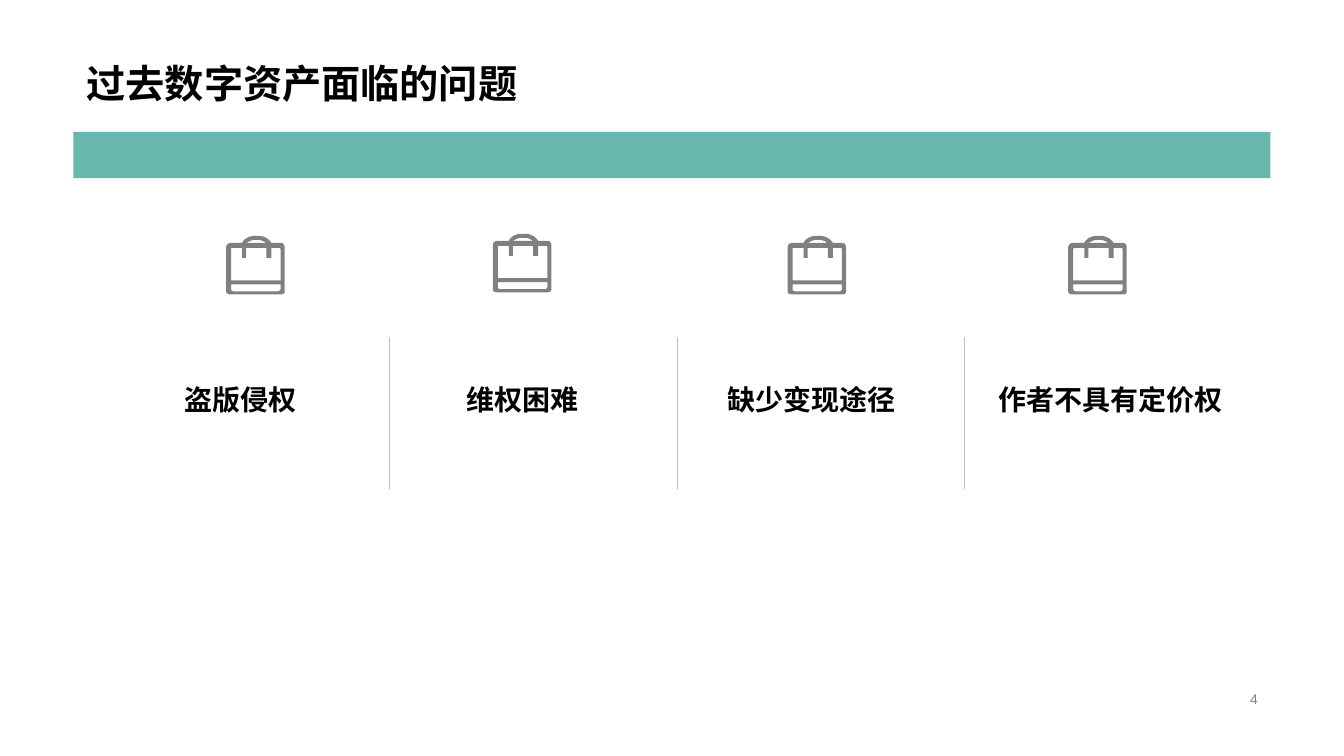
from typing import NamedTuple

from lxml import etree
from pptx import Presentation
from pptx.dml.color import RGBColor
from pptx.enum.shapes import MSO_CONNECTOR, MSO_SHAPE
from pptx.enum.text import MSO_ANCHOR, MSO_AUTO_SIZE, PP_ALIGN
from pptx.oxml.ns import qn
from pptx.util import Pt

LEFT, CENTER, RIGHT = PP_ALIGN.LEFT, PP_ALIGN.CENTER, PP_ALIGN.RIGHT
MIDDLE, BOTTOM = MSO_ANCHOR.MIDDLE, MSO_ANCHOR.BOTTOM
RECT, LINE = MSO_SHAPE.RECTANGLE, MSO_CONNECTOR.STRAIGHT
FIXED = MSO_AUTO_SIZE.NONE

FONT = "Arial"
COLORS = {"text": "000000", "band": "44A79D", "icon": "808080", "rule": "BFBFBF"}
TITLE_ONLY = 5


class Issue(NamedTuple):
    label: str
    left: float
    bag_x: float
    bag_y: float


ISSUES = [
    Issue("盗版侵权", 78.5, 161.5, 168.5),
    Issue("维权困难", 280, 352, 167),
    Issue("缺少变现途径", 486, 562.5, 168.5),
    Issue("作者不具有定价权", 700, 763, 168.5),
]
RULE_X, RULE_STEP = 278, 205.5

# Bag outlines: two numbers are a point, six are a cubic curve.
BAG = [
    [(38.9, 5), (32.4, 5), (31, 2.9, 28.1, 0, 23, 0), (20.2, 0),
     (15.8, 0, 12.2, 2.9, 11.5, 5), (3.6, 5), (1.4, 5, 0, 6.5, 0, 8.6),
     (0, 39.6), (0, 41, 1.4, 41.8, 3.6, 41.8), (38.9, 41.8),
     (41, 41.8, 41.8, 41, 41.8, 39.6), (41.8, 8.6),
     (41.8, 6.5, 41, 5, 38.9, 5)],
    [(20.2, 2.9), (23, 2.9), (25.2, 2.9, 28.1, 4.3, 28.1, 5), (14.4, 5),
     (15.8, 4.3, 18, 2.9, 20.2, 2.9)],
    [(38.9, 38.2), (38.9, 38.9, 37.4, 39.6, 37.4, 39.6), (5.8, 39.6),
     (4.3, 39.6, 3.6, 38.9, 3.6, 38.2), (3.6, 34.6), (38.9, 34.6)],
    [(38.9, 31.7), (3.6, 31.7), (3.6, 9.4), (3.6, 8.6, 4.3, 8.6, 5.8, 8.6),
     (11.5, 8.6), (11.5, 15.8), (14.4, 15.8), (14.4, 8.6), (28.8, 8.6),
     (28.8, 15.8), (32.4, 15.8), (32.4, 8.6), (37.4, 8.6),
     (37.4, 8.6, 38.9, 8.6, 38.9, 9.4)],
]
CURVE_STEPS = 8


def color(name: str) -> RGBColor:
    return RGBColor.from_string(COLORS[name])


def place(shape, left: float, top: float, width: float, height: float) -> None:
    shape.left, shape.top = Pt(left), Pt(top)
    shape.width, shape.height = Pt(width), Pt(height)


def write(shape, text: str, size: float, tone: str, align, bold: bool = False):
    shape.text_frame.text = text
    para = shape.text_frame.paragraphs[0]
    para.alignment = align
    font = para.font
    font.name, font.size, font.bold = FONT, Pt(size), bold
    font.color.rgb = color(tone)
    return para


def flatten(steps: list) -> list:
    """Turn points and cubic curves into a plain list of points."""
    points = []
    for step in steps:
        if len(step) == 2:
            points.append(step)
            continue
        nodes = [points[-1], step[:2], step[2:4], step[4:]]
        for n in range(1, CURVE_STEPS + 1):
            t = n / CURVE_STEPS
            u = 1 - t
            parts = (u ** 3, 3 * u * u * t, 3 * u * t * t, t ** 3)
            points.append(tuple(sum(p * node[axis] for p, node in zip(parts, nodes))
                                for axis in (0, 1)))
    return points


def paint(shape, tone: str) -> None:
    shape.shadow.inherit = False
    shape.fill.solid()
    shape.fill.fore_color.rgb = color(tone)
    shape.line.fill.background()


def draw_bag(shapes, left: float, top: float) -> None:
    loops = [[(Pt(left + x), Pt(top + y)) for x, y in flatten(steps)] for steps in BAG]
    pen = shapes.build_freeform(*loops[0][0])
    for n, loop in enumerate(loops):
        if n:
            pen.move_to(*loop[0])
        pen.add_line_segments(loop[1:], close=True)
    paint(pen.convert_to_shape(), "icon")


def draw_rule(shapes, x: float) -> None:
    rule = shapes.add_connector(LINE, Pt(x), Pt(241), Pt(x), Pt(349))
    rule.line.color.rgb = color("rule")
    rule.line.width = Pt(0.25)
    etree.SubElement(rule._element.spPr, qn("a:effectLst"))


def draw_issue(shapes, issue: Issue) -> None:
    draw_bag(shapes, issue.bag_x, issue.bag_y)
    box = shapes.add_textbox(Pt(issue.left), Pt(270), Pt(187), Pt(31))
    box.text_frame.word_wrap = False
    write(box, issue.label, 20, "text", CENTER, bold=True)


def draw_band(shapes) -> None:
    band = shapes.add_shape(RECT, Pt(52.5), Pt(94.3), Pt(855), Pt(33))
    paint(band, "band")
    tint = band._element.spPr.find(".//" + qn("a:srgbClr"))
    etree.SubElement(tint, qn("a:alpha"), val="80000")


def main() -> None:
    deck = Presentation()
    deck.slide_width, deck.slide_height = Pt(960), Pt(540)
    slide = deck.slides.add_slide(deck.slide_layouts[TITLE_ONLY])
    shapes = slide.shapes

    title = shapes.title
    place(title, 54.75, 0, 850, 80)
    title.text_frame.auto_size = FIXED
    title.text_frame.vertical_anchor = BOTTOM
    write(title, "过去数字资产面临的问题", 28, "text", LEFT, bold=True).line_spacing = 0.9

    draw_band(shapes)
    for issue in ISSUES:
        draw_issue(shapes, issue)
    for n in range(len(ISSUES) - 1):
        draw_rule(shapes, RULE_X + n * RULE_STEP)

    number = shapes.add_textbox(Pt(678), Pt(491), Pt(227.5), Pt(16.5))
    number.text_frame.word_wrap = True
    number.text_frame.vertical_anchor = MIDDLE
    write(number, "4", 10, "icon", RIGHT)

    deck.save("out.pptx")


if __name__ == "__main__":
    main()
